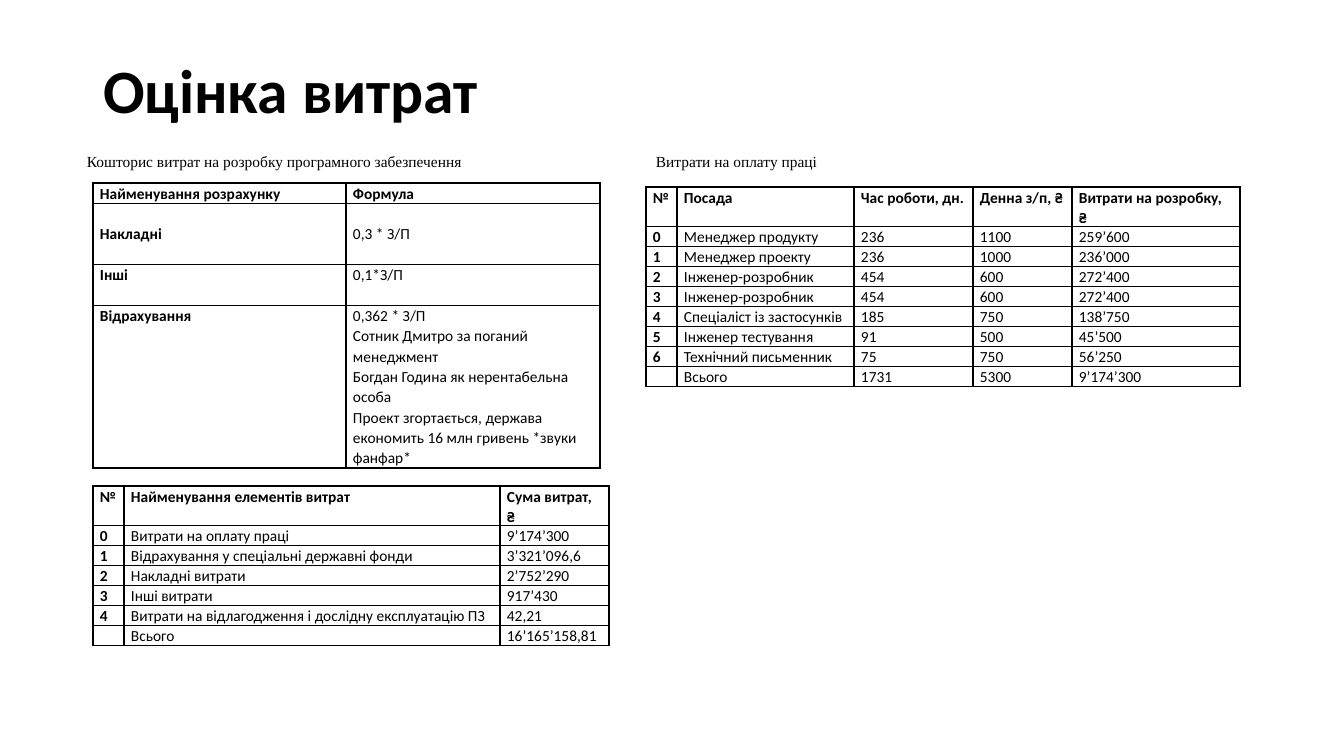
from lxml import etree
from pptx import Presentation
from pptx import util as u
from pptx.dml.color import RGBColor
from pptx.enum import text
from pptx.oxml.ns import qn

EMU_PER_PX = 914400 / 100.8
COLORS = {"ink": "000000", "paper": "FFFFFF"}
CELL_MARGIN = 7
ROW = 20
HEADER = 39

FORMULAS = [
    ["Найменування розрахунку", "Формула"],
    ["Накладні", "0,3 * З/П"],
    ["Інші", "0,1*З/П"],
    ["Відрахування", "0,362 * З/П\n"
     "Сотник Дмитро за поганий менеджмент\n"
     "Богдан Година як нерентабельна особа\n"
     "Проект згортається, держава економить 16 млн гривень *звуки фанфар*"],
]
EXPENSES = [
    ["№", "Найменування елементів витрат", "Сума витрат, ₴"],
    ["0", "Витрати на оплату праці", "9’174’300"],
    ["1", "Відрахування у спеціальні державні фонди", "3’321’096,6"],
    ["2", "Накладні витрати", "2’752’290"],
    ["3", "Інші витрати", "917’430"],
    ["4", "Витрати на відлагодження і дослідну експлуатацію ПЗ", "42,21"],
    ["", "Всього", "16’165’158,81"],
]
SALARIES = [
    ["№", "Посада", "Час роботи, дн.", "Денна з/п, ₴", "Витрати на розробку, ₴"],
    ["0", "Менеджер продукту", "236", "1100", "259’600"],
    ["1", "Менеджер проекту", "236", "1000", "236’000"],
    ["2", "Інженер-розробник", "454", "600", "272’400"],
    ["3", "Інженер-розробник", "454", "600", "272’400"],
    ["4", "Спеціаліст із застосунків", "185", "750", "138’750"],
    ["5", "Інженер тестування", "91", "500", "45’500"],
    ["6", "Технічний письменник", "75", "750", "56’250"],
    ["", "Всього", "1731", "5300", "9’174’300"],
]


def px(length):
    return u.Emu(round(length * EMU_PER_PX))


def color(name):
    return RGBColor.from_string(COLORS[name])


def format_paragraph(paragraph, size, font_name="Calibri", bold=False, spacing=None):
    paragraph.alignment = text.PP_ALIGN.LEFT
    paragraph.line_spacing = spacing
    font = paragraph.font
    font.name, font.size, font.bold = font_name, u.Pt(size), bold
    font.color.rgb = color("ink")


def set_title(slide, words, left, top, width, height):
    title = slide.shapes.title
    title.left, title.top, title.width, title.height = map(px, (left, top, width, height))
    title.text_frame.text = words
    title.text_frame.vertical_anchor = text.MSO_ANCHOR.MIDDLE
    format_paragraph(title.text_frame.paragraphs[0], 44, bold=True, spacing=0.9)


def add_caption(slide, words, left, top, width, height):
    caption = slide.shapes.add_textbox(*map(px, (left, top, width, height)))
    frame = caption.text_frame
    frame.word_wrap = True
    frame.auto_size = text.MSO_AUTO_SIZE.SHAPE_TO_FIT_TEXT
    frame.vertical_anchor = text.MSO_ANCHOR.MIDDLE
    frame.text = words
    format_paragraph(frame.paragraphs[0], 11, "Times New Roman")


def add_borders(cell):
    properties = cell._tc.get_or_add_tcPr()
    for side in ("lnL", "lnR", "lnT", "lnB"):
        line = etree.SubElement(properties, qn(f"a:{side}"), w=str(u.Pt(1)))
        fill = etree.SubElement(line, qn("a:solidFill"))
        etree.SubElement(fill, qn("a:srgbClr"), val=COLORS["ink"])


def format_cell(cell, words, bold):
    add_borders(cell)
    cell.fill.solid()
    cell.fill.fore_color.rgb = color("paper")
    cell.margin_left = cell.margin_right = px(CELL_MARGIN)
    cell.margin_top = cell.margin_bottom = 0
    cell.text = words
    for paragraph in cell.text_frame.paragraphs:
        format_paragraph(paragraph, 11, bold=bold, spacing=1.07)


def add_grid(slide, rows, left, top, widths, heights):
    """Add a ruled table with a bold first row and first column."""
    frame = slide.shapes.add_table(
        len(rows), len(widths), px(left), px(top), px(sum(widths)), px(sum(heights)))
    table = frame.table
    table.first_row = table.horz_banding = False
    for column, width in zip(table.columns, widths):
        column.width = px(width)
    for row, height in zip(table.rows, heights):
        row.height = px(height)
    for r, row in enumerate(rows):
        for c, words in enumerate(row):
            format_cell(table.cell(r, c), words, bold=r == 0 or c == 0)
    return table


def main():
    presentation = Presentation()
    presentation.slide_width, presentation.slide_height = px(1344), px(756)
    slide = presentation.slides.add_slide(presentation.slide_layouts[5])

    set_title(slide, "Оцінка витрат", 93, 40, 1159, 107)
    formulas = add_grid(slide, FORMULAS, 93, 183, [253, 254], [ROW, 61, 41, 162])
    for cell in formulas.rows[1].cells:
        cell.vertical_anchor = text.MSO_ANCHOR.MIDDLE
    add_caption(slide, "Кошторис витрат на розробку програмного забезпечення",
                77, 147, 458, 29)
    add_grid(slide, EXPENSES, 93, 486, [31, 376, 109],
             [HEADER] + [ROW] * (len(EXPENSES) - 1))
    add_grid(slide, SALARIES, 646, 187, [31, 177, 119, 99, 168],
             [HEADER] + [ROW] * (len(SALARIES) - 1))
    add_caption(slide, "Витрати на оплату праці", 646, 147, 309, 29)

    presentation.save("out.pptx")


if __name__ == "__main__":
    main()
